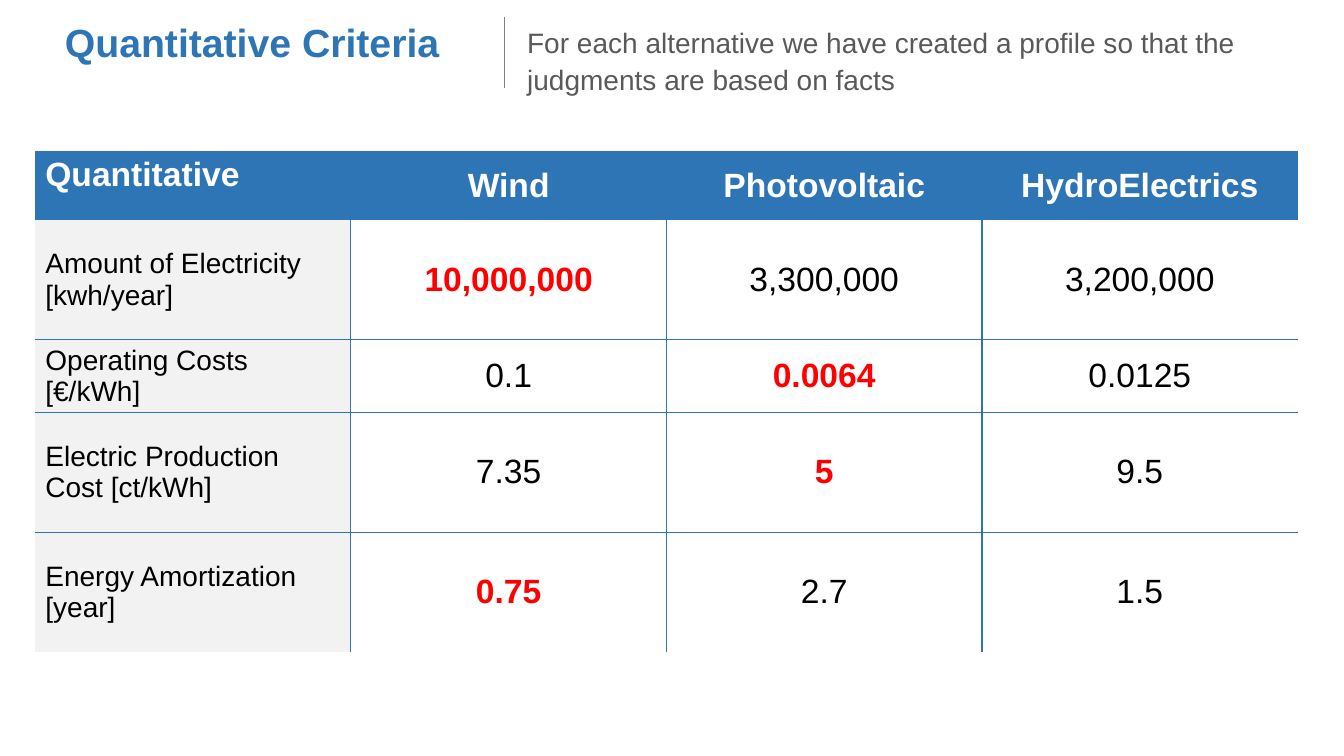
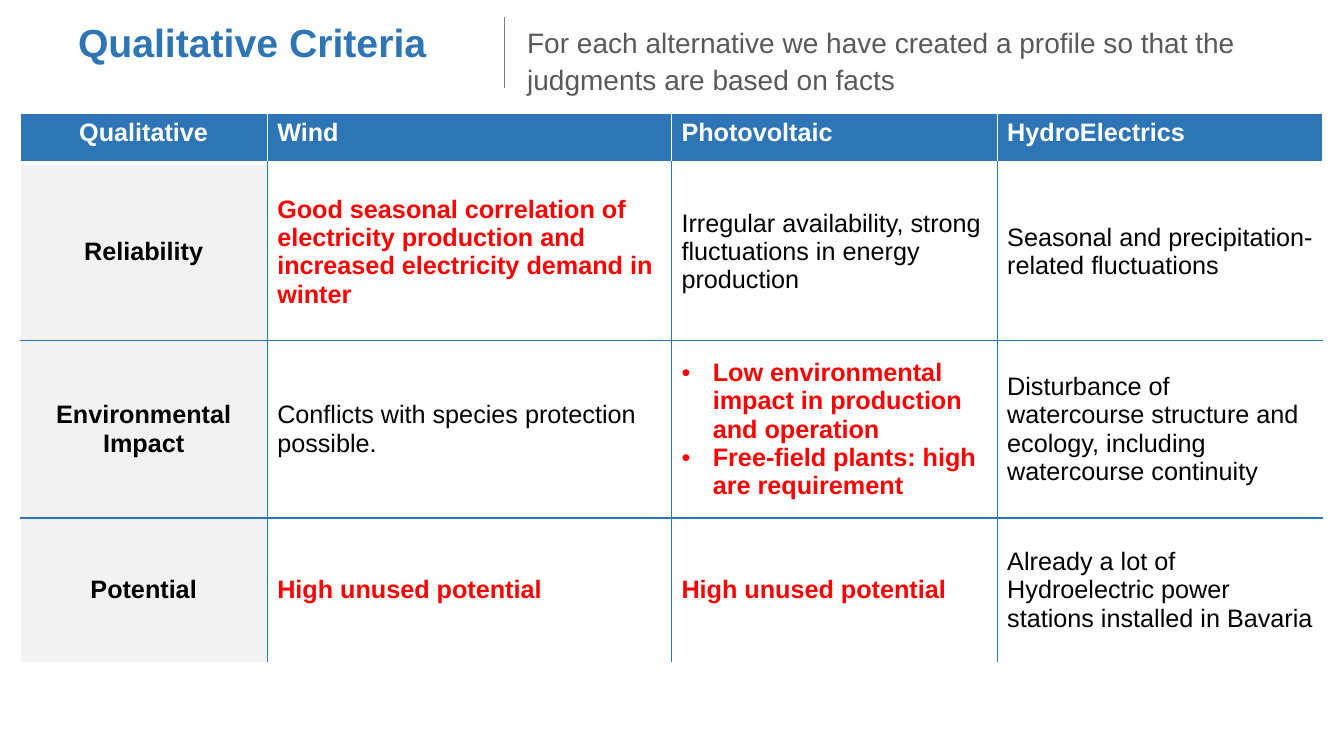
from lxml.etree import SubElement
from pptx import Presentation
from pptx.dml.color import RGBColor
from pptx.enum.text import MSO_ANCHOR, PP_ALIGN
from pptx.oxml.ns import qn
from pptx.util import Inches, Pt

BLUE = RGBColor(0x2E, 0x75, 0xB6)
RED = RGBColor(0xFF, 0, 0)
BLACK = RGBColor(0, 0, 0)
WHITE = RGBColor(0xFF, 0xFF, 0xFF)
PALE = RGBColor(0xF2, 0xF2, 0xF2)
GREY = RGBColor(0x80, 0x80, 0x80)
DARK = RGBColor(0x59, 0x59, 0x59)
FONT = "Arial"
LEFT, MID = PP_ALIGN.LEFT, PP_ALIGN.CENTER
TOP, CENTER = MSO_ANCHOR.TOP, MSO_ANCHOR.MIDDLE

LEAD = ("For each alternative we have created a profile so that the "
        "judgments are based on facts")

# "best" holds the (row, column) cells shown in red;
# "aligns" and "anchors" give (label, values) settings.
SLIDES = [
    dict(
        title="Quantitative Criteria",
        at=(0.35, 1.5),
        cols=[3.13] * 4,
        rows=[0.68, 1.19, 0.69, 1.19, 1.19],
        edge=None,
        aligns=(LEFT, MID), anchors=(TOP, CENTER),
        sizes=(20, 24), head=24, bold=False,
        best={(1, 1), (2, 2), (3, 2), (4, 1)},
        cells=[
            ["Quantitative", "Wind", "Photovoltaic", "HydroElectrics"],
            ["Amount of Electricity [kwh/year]",
             "10,000,000", "3,300,000", "3,200,000"],
            ["Operating Costs [€/kWh]", "0.1", "0.0064", "0.0125"],
            ["Electric Production Cost [ct/kWh]", "7.35", "5", "9.5"],
            ["Energy Amortization [year]", "0.75", "2.7", "1.5"],
        ],
    ),
    dict(
        title="Qualitative Criteria",
        at=(0.2, 1.13),
        cols=[2.45, 4.01, 3.23, 3.23],
        rows=[0.49, 1.76, 1.76, 1.43],
        edge=WHITE,
        aligns=(MID, LEFT), anchors=(TOP, TOP),
        sizes=(18, 18), head=18, bold=True,
        best={(1, 1), (2, 2), (3, 1), (3, 2)},
        cells=[
            ["Qualitative", "Wind", "Photovoltaic", "HydroElectrics"],
            ["Reliability",
             "Good seasonal correlation of electricity production and "
             "increased electricity demand in winter",
             "Irregular availability, strong fluctuations in energy production",
             "Seasonal and precipitation-related fluctuations"],
            ["Environmental Impact",
             "Conflicts with species protection possible.",
             ["Low environmental impact in production and operation",
              "Free-field plants: high are requirement"],
             "Disturbance of watercourse structure and ecology, including "
             "watercourse continuity"],
            ["Potential", "High unused potential", "High unused potential",
             "Already a lot of Hydroelectric power stations installed in "
             "Bavaria"],
        ],
    ),
]


def style(para, size, color, bold=False, align=LEFT):
    para.alignment = align
    font = para.font
    font.name, font.size, font.bold = FONT, Pt(size), bold
    font.color.rgb = color


def bullet(para):
    props = para._p.get_or_add_pPr()
    props.set("marL", str(Inches(0.31)))
    props.set("indent", str(-Inches(0.31)))
    SubElement(props, qn("a:buFont"), typeface=FONT)
    SubElement(props, qn("a:buChar"), char="•")


def border(cell, **sides):
    """Draw the sides given as (colour, points); hide the others."""
    props = cell._tc.get_or_add_tcPr()
    for side in "LRTB":
        color, width = sides.get(side, (None, 0))
        line = SubElement(props, qn("a:ln" + side), w=str(Pt(width)))
        if color is None:
            SubElement(line, qn("a:noFill"))
        else:
            fill = SubElement(line, qn("a:solidFill"))
            SubElement(fill, qn("a:srgbClr"), val=str(color))


def grid(slide, at, cols, rows):
    size = (len(rows), len(cols))
    area = map(Inches, (*at, sum(cols), sum(rows)))
    table = slide.shapes.add_table(*size, *area).table
    table.first_row = table.horz_banding = False
    for col, width in zip(table.columns, cols):
        col.width = Inches(width)
    for row, height in zip(table.rows, rows):
        row.height = Inches(height)
    return table


def header(slide, title):
    box = slide.shapes.add_textbox(*map(Inches, (5.13, 0.17, 8.12, 0.77)))
    box.text_frame.word_wrap = True
    para = box.text_frame.paragraphs[0]
    para.text, para.line_spacing = LEAD, 1.1
    style(para, 20, DARK)

    cell = grid(slide, (0, 0.17), [5], [0.7]).cell(0, 0)
    border(cell, R=(GREY, 1))
    cell.fill.background()
    cell.text = title
    style(cell.text_frame.paragraphs[0], 28, BLUE, True, MID)


def lines(row, col, data):
    """Give the four borders of one cell in the criteria table."""
    edge = data["edge"]
    outer, inner = (edge, 1), (BLUE, 1)
    side = inner if row else outer
    last = (len(data["rows"]) - 1, len(data["cols"]) - 1)
    tops = {0: outer, 1: (edge, 3)}
    ends = {0: (edge, 3), last[0]: outer}
    return dict(L=side if col else outer,
                R=side if col < last[1] else outer,
                T=tops.get(row, inner), B=ends.get(row, inner))


def criteria(slide, data):
    table = grid(slide, data["at"], data["cols"], data["rows"])
    for row, texts in enumerate(data["cells"]):
        for col, text in enumerate(texts):
            cell, kind = table.cell(row, col), min(col, 1)
            best = (row, col) in data["best"]
            if row == 0:
                fill, color, bold = BLUE, WHITE, True
                size, anchor = data["head"], data["anchors"][kind]
            else:
                fill = WHITE if col else PALE
                color = RED if best else BLACK
                bold = best or (col == 0 and data["bold"])
                size, anchor = data["sizes"][kind], CENTER
            border(cell, **lines(row, col, data))
            cell.fill.solid()
            cell.fill.fore_color.rgb = fill
            cell.vertical_anchor = anchor
            items = text if isinstance(text, list) else [text]
            cell.text = "\n".join(items)
            for para in cell.text_frame.paragraphs:
                if items is text:
                    bullet(para)
                style(para, size, color, bold, data["aligns"][kind])


def main():
    deck = Presentation()
    deck.slide_width, deck.slide_height = Inches(13.33), Inches(7.5)
    for data in SLIDES:
        slide = deck.slides.add_slide(deck.slide_layouts[6])
        criteria(slide, data)
        header(slide, data["title"])
    deck.save("out.pptx")


if __name__ == "__main__":
    main()
